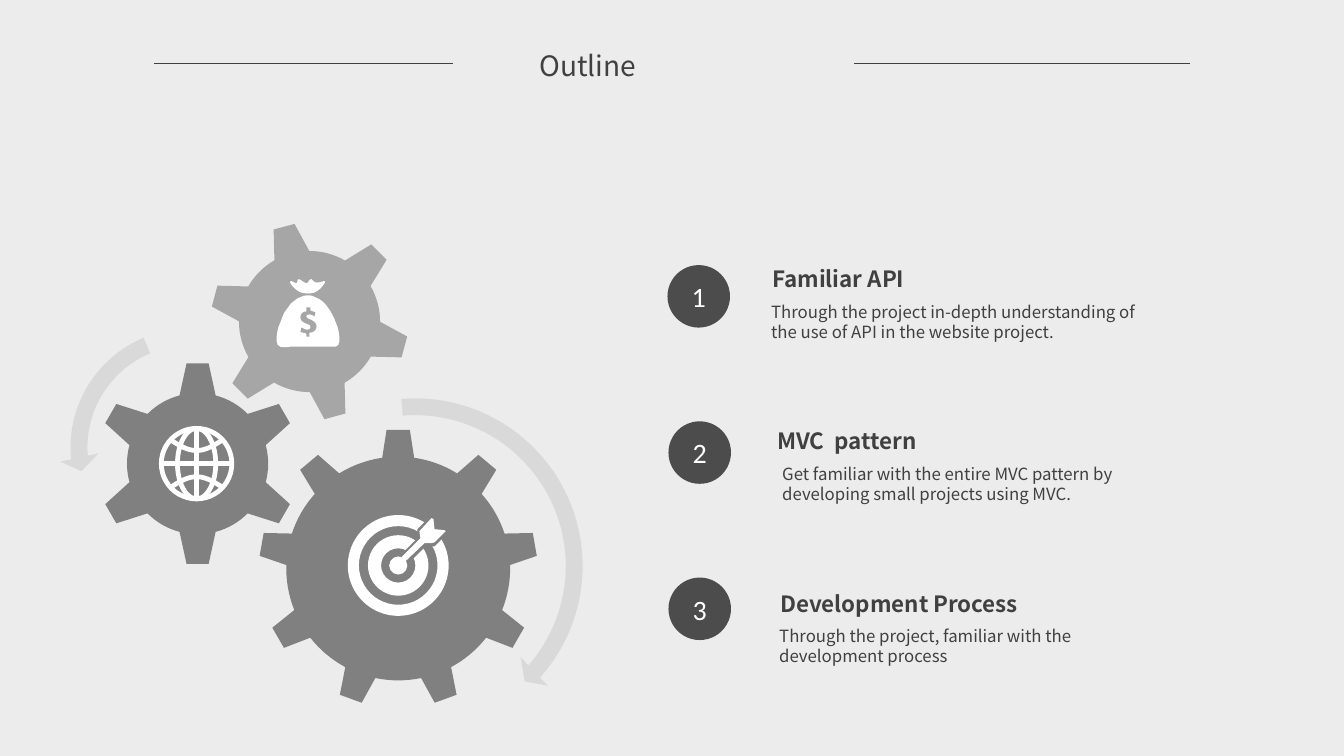
from math import cos, pi, radians, sin

from lxml import etree
from pptx import Presentation
from pptx.dml.color import RGBColor
from pptx.enum import shapes, text
from pptx.oxml.ns import qn
from pptx.util import Inches, Pt

SANS = "Noto Sans CJK SC"
DARK, WHITE, BACKGROUND = "404040", "FFFFFF", "ECECEC"
BADGE, ARROW, GEAR, LIGHT_GEAR = "4C4C4C", "D9D9D9", "808080", "A6A6A6"

RULES = [(1.53, 4.49), (8.47, 11.8)]
TITLE = ("Outline", 5.25, 0.43, 3.08, 0.44)
TOPICS = [
    ("1", 6.62, "Familiar API", 7.66, 2.63,
     "Through the project in-depth understanding of the use of API in the website project.", 7.55),
    ("2", 6.63, "MVC  pattern", 7.71, 4.24,
     "Get familiar with the entire MVC pattern by developing small projects using MVC.", 7.66),
    ("3", 6.63, "Development Process", 7.74, 5.85,
     "Through the project, familiar with the development process", 7.63),
]
BADGE_TOP, BADGE_STEP, BADGE_SIZE = 2.63, 1.55, 0.62

# centre x, centre y, teeth, first angle, root radius, tip radius, root and tip half angles, colour
GEARS = [
    (3.07, 3.19, 6, 45, 0.7, 0.98, 14.8, 6.3, LIGHT_GEAR),
    (3.95, 5.64, 9, 0, 1.11, 1.38, 8.2, 4.8, GEAR),
    (1.96, 4.6, 6, 0, 0.7, 1, 14.8, 6.3, GEAR),
]
TURNS = [
    (shapes.MSO_SHAPE.CIRCULAR_ARROW, 2.34, 3.84, 3.55, [0.047, 2.99, 24.883, 159.227, 0.055]),
    (shapes.MSO_SHAPE.LEFT_CIRCULAR_ARROW, 0.59, 3.15, 2.58, [0.065, 4.3, 104.891, 148.378, 0.075]),
]
GLOBE = (1.95, 4.6, 0.35)
TARGET = (3.95, 5.61)
TARGET_RINGS = [(0.5, 0.11), (0.3, 0.13)]
NOTCH = [(4.02, 5.46), (4.14, 5.34), (4.14, 5.25), (4.3, 5.09),
         (4.47, 5.26), (4.31, 5.42), (4.22, 5.42), (4.1, 5.54)]
DART = [(4.17, 5.34), (4.16, 5.27), (4.28, 5.14), (4.3, 5.15), (4.31, 5.25), (4.41, 5.26),
        (4.42, 5.27), (4.31, 5.38), (4.28, 5.39), (4.21, 5.39), (4.02, 5.57), (3.98, 5.53)]
BAG_TIE = [(2.88, 2.81), (2.87, 2.79, 2.89, 2.79, 2.89, 2.79), (2.9, 2.79, 2.93, 2.81, 2.94, 2.81),
           (2.95, 2.81, 2.95, 2.77, 2.96, 2.77), (2.98, 2.77, 3.02, 2.81, 3.04, 2.81),
           (3.06, 2.81, 3.06, 2.77, 3.09, 2.77), (3.1, 2.77, 3.11, 2.83, 3.21, 2.79),
           (3.22, 2.79, 3.23, 2.79, 3.22, 2.81), (3.22, 2.81, 3.16, 2.91, 3.08, 2.91),
           (3.03, 2.91), (2.94, 2.91, 2.88, 2.81, 2.88, 2.81)]
BAG = [(3.35, 3.25), (3.28, 3.04, 3.19, 2.97, 3.13, 2.95), (3.11, 2.94, 3.08, 2.93, 3.07, 2.93),
       (3.07, 2.93, 2.86, 2.9, 2.76, 3.25), (2.76, 3.25, 2.71, 3.43, 2.78, 3.44),
       (2.78, 3.44, 2.8, 3.45, 2.88, 3.44), (3.33, 3.44), (3.4, 3.43, 3.35, 3.25, 3.35, 3.25)]
DOLLAR = [(3.07, 3.3), (3.07, 3.34), (3.04, 3.34), (3.04, 3.31), (3.02, 3.3, 2.99, 3.3, 2.98, 3.29),
          (2.99, 3.25), (3.01, 3.26, 3.03, 3.27, 3.05, 3.27), (3.07, 3.27, 3.08, 3.26, 3.08, 3.24),
          (3.08, 3.23, 3.07, 3.22, 3.04, 3.21), (3.01, 3.2, 2.98, 3.18, 2.98, 3.15),
          (2.98, 3.12, 3, 3.09, 3.04, 3.09), (3.04, 3.05), (3.08, 3.05), (3.08, 3.08),
          (3.1, 3.09, 3.11, 3.09, 3.13, 3.1), (3.12, 3.14), (3.11, 3.13, 3.09, 3.12, 3.07, 3.12),
          (3.04, 3.12, 3.04, 3.13, 3.04, 3.14), (3.04, 3.15, 3.05, 3.16, 3.08, 3.17),
          (3.12, 3.19, 3.14, 3.21, 3.14, 3.24), (3.14, 3.27, 3.11, 3.3, 3.07, 3.3)]

presentation = Presentation()
presentation.slide_width, presentation.slide_height = Inches(13.33), Inches(7.5)
slide = presentation.slides.add_slide(presentation.slide_layouts[6])


def color(value):
    return RGBColor.from_string(value)


def paint(shape, fill=None, line=None, width=3.4):
    shape.shadow.inherit = False
    if fill:
        shape.fill.solid()
        shape.fill.fore_color.rgb = color(fill)
    else:
        shape.fill.background()
    if line:
        shape.line.color.rgb = color(line)
        shape.line.width = Pt(width)
    else:
        shape.line.fill.background()
    return shape


def add_preset(kind, left, top, width, height, fill=None, line=None):
    shape = slide.shapes.add_shape(kind, *map(Inches, (left, top, width, height)))
    return paint(shape, fill, line)


def add_oval(x, y, radius_x, radius_y, fill=None, line=None, kind=shapes.MSO_SHAPE.OVAL):
    return add_preset(kind, x - radius_x, y - radius_y, 2 * radius_x, 2 * radius_y, fill, line)


def add_outline(points, fill=None, line=None, close=True):
    corners = [(Inches(x), Inches(y)) for x, y in points]
    builder = slide.shapes.build_freeform(*corners[0])
    builder.add_line_segments(corners[1:], close=close)
    return paint(builder.convert_to_shape(), fill, line)


def add_line(x1, y1, x2, y2, line, width):
    connector = slide.shapes.add_connector(
        shapes.MSO_CONNECTOR.STRAIGHT, *map(Inches, (x1, y1, x2, y2)))
    connector.line.color.rgb = color(line)
    connector.line.width = Pt(width)
    etree.SubElement(connector._element.spPr, qn("a:effectLst"))


def flatten(curve, steps=6):
    points = [curve[0]]
    for part in curve[1:]:
        if len(part) == 2:
            points.append(part)
            continue
        x0, y0 = points[-1]
        x1, y1, x2, y2, x3, y3 = part
        for step in range(1, steps + 1):
            t = step / steps
            a, b, c, d = (1 - t) ** 3, 3 * t * (1 - t) ** 2, 3 * t * t * (1 - t), t ** 3
            points.append((a * x0 + b * x1 + c * x2 + d * x3, a * y0 + b * y1 + c * y2 + d * y3))
    return points


def gear_points(x, y, teeth, first, root, tip, root_half, tip_half, steps=8):
    pitch = 360 / teeth
    gap = pitch - 2 * root_half
    polar = []
    for tooth in range(teeth):
        middle = first + tooth * pitch
        polar += [(tip, middle - tip_half), (tip, middle + tip_half)]
        polar += [(root, middle + root_half + gap * step / steps) for step in range(steps + 1)]
    return [(x + r * sin(radians(a)), y - r * cos(radians(a))) for r, a in polar]


def write(frame, words, size, font, fill, bold=False, align=text.PP_ALIGN.LEFT):
    paragraph = frame.paragraphs[0]
    paragraph.alignment = align
    run = paragraph.add_run()
    run.text = words
    run.font.size, run.font.name, run.font.bold = Pt(size), font, bold
    run.font.color.rgb = color(fill)
    return paragraph


def add_text(words, left, top, width, height, size, bold=False, inset=True):
    box = slide.shapes.add_textbox(*map(Inches, (left, top, width, height)))
    frame = box.text_frame
    frame.word_wrap = True
    if not inset:
        frame.margin_left = frame.margin_right = frame.margin_top = frame.margin_bottom = 0
    write(frame, words, size, SANS, DARK, bold).line_spacing = Pt(size * 1.2)


def add_globe(x, y, radius):
    add_oval(x, y, radius, radius, line=WHITE)
    add_oval(x, y, 0.19, radius, line=WHITE)
    add_line(x - radius, y, x + radius, y, WHITE, 3.4)
    add_line(x, y - radius, x, y + radius, WHITE, 3.4)
    for side in (-1, 1):
        latitude = [(x + 0.025 * i, y + side * (0.13 + 0.1 * (1 - cos(pi * i / 20))))
                    for i in range(-10, 11)]
        add_outline(latitude, line=WHITE, close=False)


def add_target(x, y):
    for radius, band in TARGET_RINGS:
        ring = add_oval(x, y, radius, radius, WHITE, kind=shapes.MSO_SHAPE.DONUT)
        ring.adjustments[0] = band / (2 * radius)
    add_outline(NOTCH, GEAR)
    add_oval(x, y, 0.09, 0.09, WHITE)
    add_outline(DART, WHITE)


slide.background.fill.solid()
slide.background.fill.fore_color.rgb = color(BACKGROUND)
for start, end in RULES:
    add_line(start, 0.63, end, 0.63, DARK, 0.5)
add_text(*TITLE, 20)

for *geometry, fill in GEARS:
    add_outline(gear_points(*geometry), fill)
for kind, left, top, size, adjustments in TURNS:
    turn = add_preset(kind, left, top, size, size, ARROW)
    for index, value in enumerate(adjustments):
        turn.adjustments[index] = value

add_globe(*GLOBE)
add_target(*TARGET)
for curve, fill in [(BAG_TIE, WHITE), (BAG, WHITE), (DOLLAR, LIGHT_GEAR)]:
    add_outline(flatten(curve), fill)

for index, (number, badge_left, heading, left, top, detail, detail_left) in enumerate(TOPICS):
    badge = add_preset(shapes.MSO_SHAPE.OVAL, badge_left, BADGE_TOP + index * BADGE_STEP,
                       BADGE_SIZE, BADGE_SIZE, BADGE)
    badge.text_frame.vertical_anchor = text.MSO_ANCHOR.MIDDLE
    write(badge.text_frame, number, 20, "Calibri", WHITE, align=text.PP_ALIGN.CENTER)
    add_text(heading, left, top, 4.24, 0.27, 16, bold=True, inset=False)
    add_text(detail, detail_left, top + 0.31, 3.98, 0.5, 12)

presentation.save("out.pptx")
